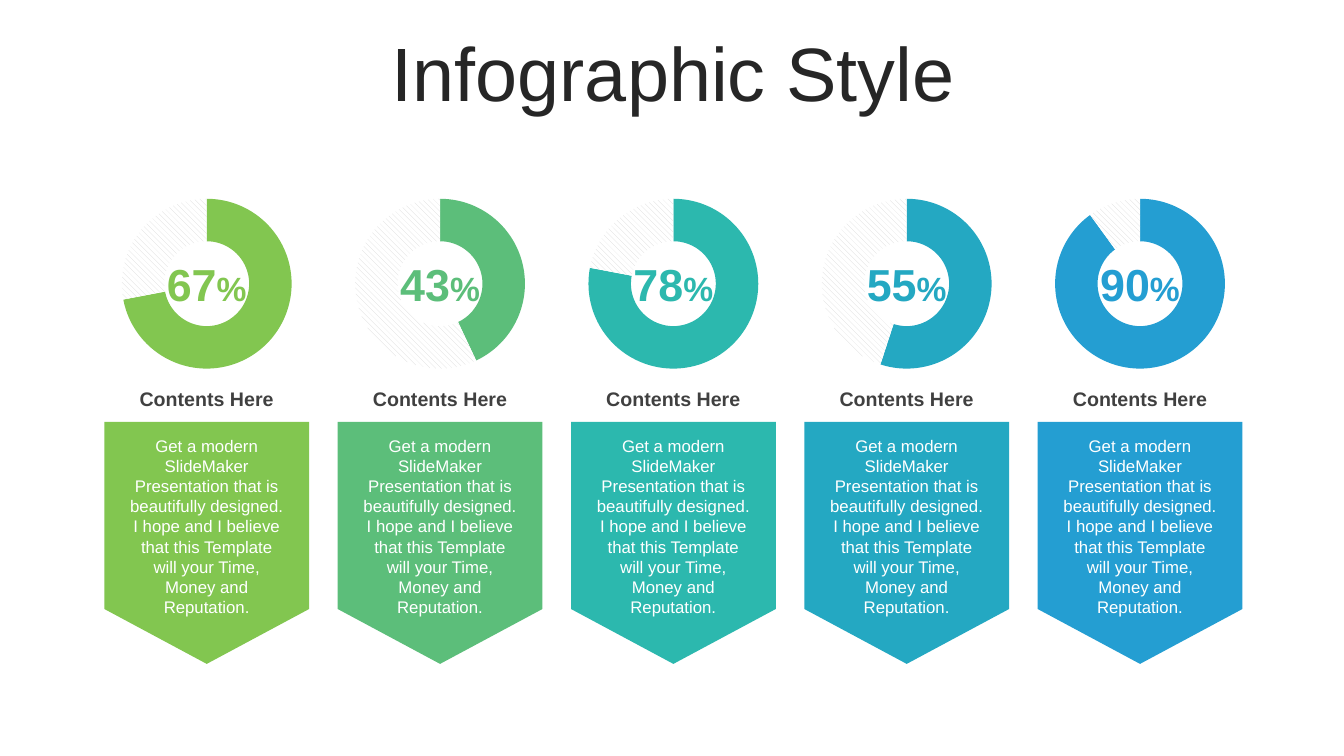
from lxml import etree
from pptx import Presentation
from pptx.chart.data import CategoryChartData as Data
from pptx.dml.color import RGBColor
from pptx.enum.chart import XL_CHART_TYPE as Kind
from pptx.enum.dml import MSO_PATTERN as Pattern
from pptx.enum.shapes import MSO_SHAPE as Shape
from pptx.enum.text import MSO_ANCHOR as Anchor, MSO_AUTO_SIZE as Auto, PP_ALIGN as Align
from pptx.util import Cm, Pt

LIME = RGBColor(0x82, 0xC6, 0x50)
GREEN = RGBColor(0x5C, 0xBE, 0x7A)
TEAL = RGBColor(0x2C, 0xB8, 0xAE)
CYAN = RGBColor(0x24, 0xA8, 0xC2)
BLUE = RGBColor(0x24, 0x9E, 0xD2)
WHITE = RGBColor(0xFF, 0xFF, 0xFF)
BLACK = RGBColor(0, 0, 0)
INK = RGBColor(0x26, 0x26, 0x26)
GRAY = RGBColor(0x40, 0x40, 0x40)
PALE = RGBColor(0xD9, 0xD9, 0xD9)

TITLE = "Infographic Style"
HEAD = "Contents Here"
BODY = ("Get a modern SlideMaker Presentation that is beautifully designed. "
        "I hope and I believe that this Template will your Time, Money and Reputation.")
ITEMS = [
    ("67", 72, LIME),
    ("43", 43, GREEN),
    ("78", 78, TEAL),
    ("55", 55, CYAN),
    ("90", 90, BLUE),
]
FIRST, PITCH = 5.21, 5.88


def style(font, size, color, bold=False):
    font.name = "Arial"
    font.size = Pt(size)
    font.bold = bold
    font.color.rgb = color


def add_text(slide, mid, top, width, height, text, size, color, bold=False):
    box = slide.shapes.add_textbox(Cm(mid - width / 2), Cm(top), Cm(width), Cm(height))
    frame = box.text_frame
    frame.word_wrap = True
    frame.auto_size = Auto.SHAPE_TO_FIT_TEXT
    para = frame.paragraphs[0]
    para.alignment = Align.CENTER
    para.add_run().text = text
    style(para.font, size, color, bold)
    return frame


def add_ring(slide, mid, share, color):
    data = Data()
    data.categories = ["1", "2"]
    data.add_series("Series 1", [share, 100 - share])
    chart = slide.shapes.add_chart(
        Kind.DOUGHNUT, Cm(mid - 2.49), Cm(4.42), Cm(4.98), Cm(5.46), data).chart
    chart.has_legend = False
    chart.has_title = False
    style(chart.font, 18, BLACK)
    plot = chart.plots[0]
    plot.vary_by_categories = True
    for hole in chart.element.iter("{*}holeSize"):
        hole.set("val", "78")
    done, rest = [plot.series[0].points[i].format for i in range(2)]
    done.fill.solid()
    done.fill.fore_color.rgb = color
    rest.fill.patterned()
    rest.fill.pattern = Pattern.WIDE_DOWNWARD_DIAGONAL
    rest.fill.fore_color.rgb = PALE
    rest.fill.back_color.rgb = WHITE
    for part in (done, rest):
        part.line.fill.background()


def add_flag(slide, mid, color):
    flag = slide.shapes.add_shape(
        Shape.PENTAGON, Cm(mid - 3.05), Cm(11.1), Cm(6.1), Cm(5.16))
    flag.rotation = 90
    flag.adjustments[0] = 0.268
    flag.shadow.inherit = False
    flag.fill.solid()
    flag.fill.fore_color.rgb = color
    flag.line.fill.background()


def add_rate(slide, mid, rate, color):
    frame = add_text(slide, mid, 6.48, 2.92, 1.37, rate, 32, color, True)
    frame.margin_left = frame.margin_right = 0
    frame.margin_top = frame.margin_bottom = 0
    sign = frame.paragraphs[0].add_run()
    sign.text = "%"
    sign.font.size = Pt(24)


def add_title(slide):
    title = slide.shapes.title
    title.left, title.top, title.width, title.height = Cm(0.89), Cm(0.94), Cm(32.16), Cm(2.01)
    frame = title.text_frame
    frame.text = TITLE
    frame.word_wrap = True
    frame.auto_size = Auto.NONE
    frame.vertical_anchor = Anchor.MIDDLE
    para = frame.paragraphs[0]
    para.alignment = Align.CENTER
    para.line_spacing = 0.9
    style(para.font, 54, INK)


def main():
    deck = Presentation()
    deck.slide_width, deck.slide_height = Cm(33.87), Cm(19.05)
    slide = deck.slides.add_slide(deck.slide_layouts[5])
    add_title(slide)
    for i, (rate, share, color) in enumerate(ITEMS):
        mid = FIRST + i * PITCH
        add_ring(slide, mid, share, color)
        add_flag(slide, mid, color)
        add_text(slide, mid, 9.63, 3.91, 0.86, HEAD, 14, GRAY, True)
        add_text(slide, mid, 10.85, 4.47, 4.88, BODY, 12, WHITE)
        add_rate(slide, mid, rate, color)
    deck.save("out.pptx")


if __name__ == "__main__":
    main()
